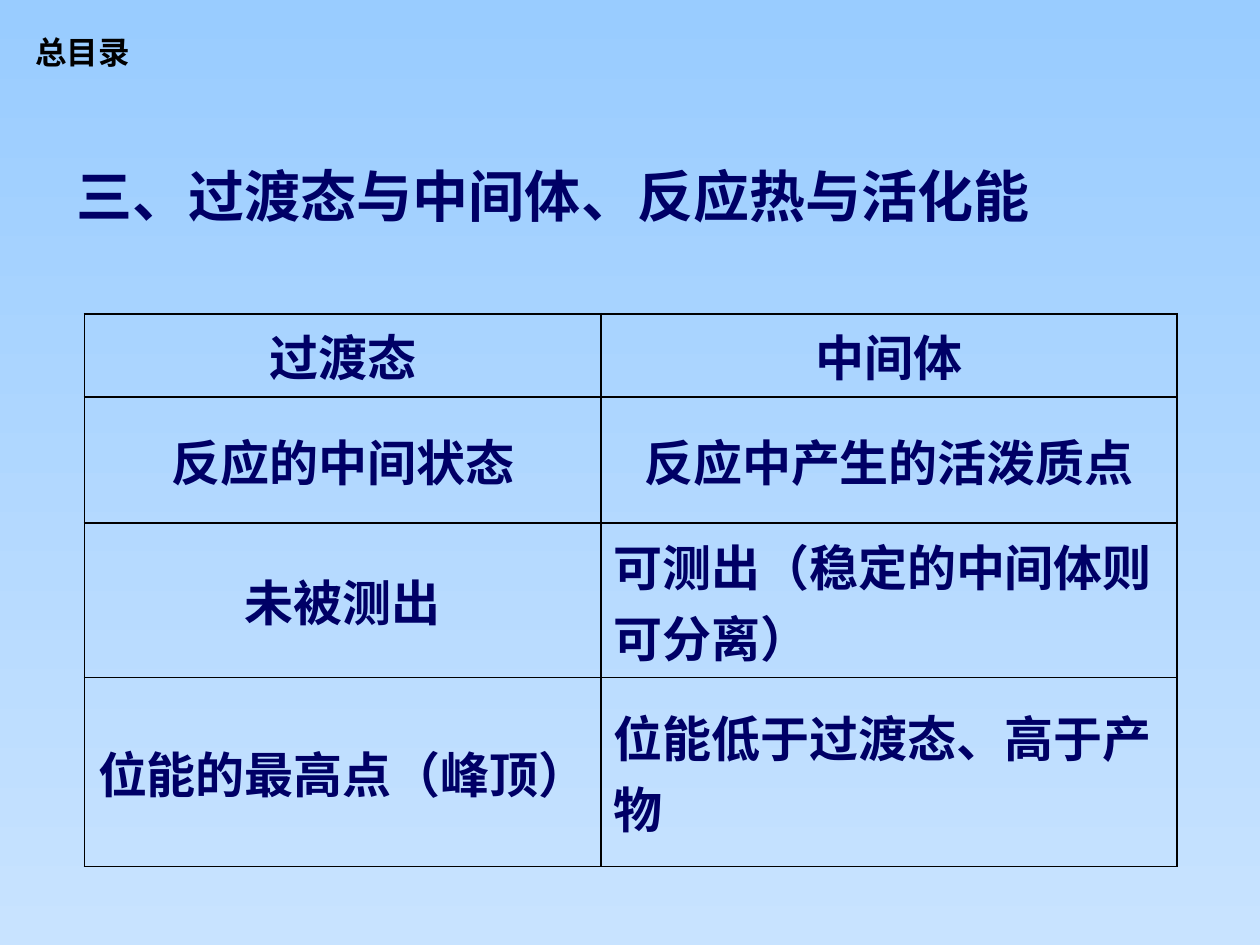
from lxml.etree import SubElement
from pptx import Presentation
from pptx.dml.color import RGBColor
from pptx.enum.text import MSO_ANCHOR as Anchor, MSO_AUTO_SIZE as AutoSize, PP_ALIGN as Align
from pptx.oxml.ns import qn
from pptx.util import Inches, Pt

CJK = "Noto Sans CJK SC"
NAVY, BLACK = "000066", "000000"
COLS = [4.1, 4.57]
ROWS = [0.63, 1, 1.12, 1.5]
CELLS = [
    ("过渡态", "中间体"),
    ("反应的中间状态", "反应中产生的活泼质点"),
    ("未被测出", "可测出（稳定的中间体则可分离）"),
    ("位能的最高点（峰顶） ", "位能低于过渡态、高于产物"),
]


def rgb(color):
    return RGBColor.from_string(color)


def add_run(p, text, size, color=NAVY, font=CJK):
    r = p.add_run()
    r.text = text
    for name, value in {"size": Pt(size), "bold": True, "name": font}.items():
        setattr(r.font, name, value)
    r.font.color.rgb = rgb(color)
    # East Asian characters take their own typeface
    SubElement(r.font._element, qn("a:ea"), typeface=font)


def set_background(slide, top, bottom):
    fill = slide.background.fill
    fill.gradient()
    fill.gradient_angle = 270
    for stop, position, color in zip(fill.gradient_stops, (0, 1), (top, bottom)):
        stop.position = position
        stop.color.rgb = rgb(color)


def add_title(slide):
    title = slide.shapes.title
    box = {"left": 0.51, "top": 1.07, "width": 9, "height": 0.83}
    for name, value in box.items():
        setattr(title, name, Inches(value))
    tf = title.text_frame
    tf.auto_size = AutoSize.NONE
    tf.vertical_anchor = Anchor.MIDDLE
    p = tf.paragraphs[0]
    p.alignment = Align.LEFT
    add_run(p, "三、过渡态与中间体、反应热与活化能", 32)
    add_run(p, " ", 44)


def add_label(slide):
    tf = slide.shapes.add_textbox(
        Inches(0.18), Inches(0.21), Inches(0.95), Inches(0.4)).text_frame
    tf.word_wrap = False
    tf.auto_size = AutoSize.SHAPE_TO_FIT_TEXT
    add_run(tf.paragraphs[0], "总目录", 18, BLACK, "Roboto")


def set_borders(cell, color, width):
    tc_pr = cell._tc.get_or_add_tcPr()
    for i, side in enumerate(("lnL", "lnR", "lnT", "lnB")):
        ln = tc_pr.makeelement(qn(f"a:{side}"), {"w": str(Pt(width))})
        fill = SubElement(ln, qn("a:solidFill"))
        SubElement(fill, qn("a:srgbClr"), val=color)
        tc_pr.insert(i, ln)


def add_comparison(slide):
    table = slide.shapes.add_table(
        len(ROWS), len(COLS), Inches(0.67), Inches(2.49),
        Inches(sum(COLS)), Inches(sum(ROWS))).table
    table.first_row = table.horz_banding = False
    for column, width in zip(table.columns, COLS):
        column.width = Inches(width)
    for i, (row, height) in enumerate(zip(table.rows, ROWS)):
        row.height = Inches(height)
        for j, text in enumerate(CELLS[i]):
            cell = table.cell(i, j)
            cell.vertical_anchor = Anchor.MIDDLE
            cell.fill.background()
            set_borders(cell, BLACK, 1.08)
            p = cell.text_frame.paragraphs[0]
            # Long explanations on the right run from the left edge
            p.alignment = Align.LEFT if j == 1 and i >= 2 else Align.CENTER
            add_run(p, text, 28)


def main():
    prs = Presentation()
    prs.slide_width, prs.slide_height = Inches(10), Inches(7.5)
    slide = prs.slides.add_slide(prs.slide_layouts[5])
    set_background(slide, "99CCFF", "C8E3FF")
    add_title(slide)
    add_comparison(slide)
    add_label(slide)
    prs.save("out.pptx")


if __name__ == "__main__":
    main()
